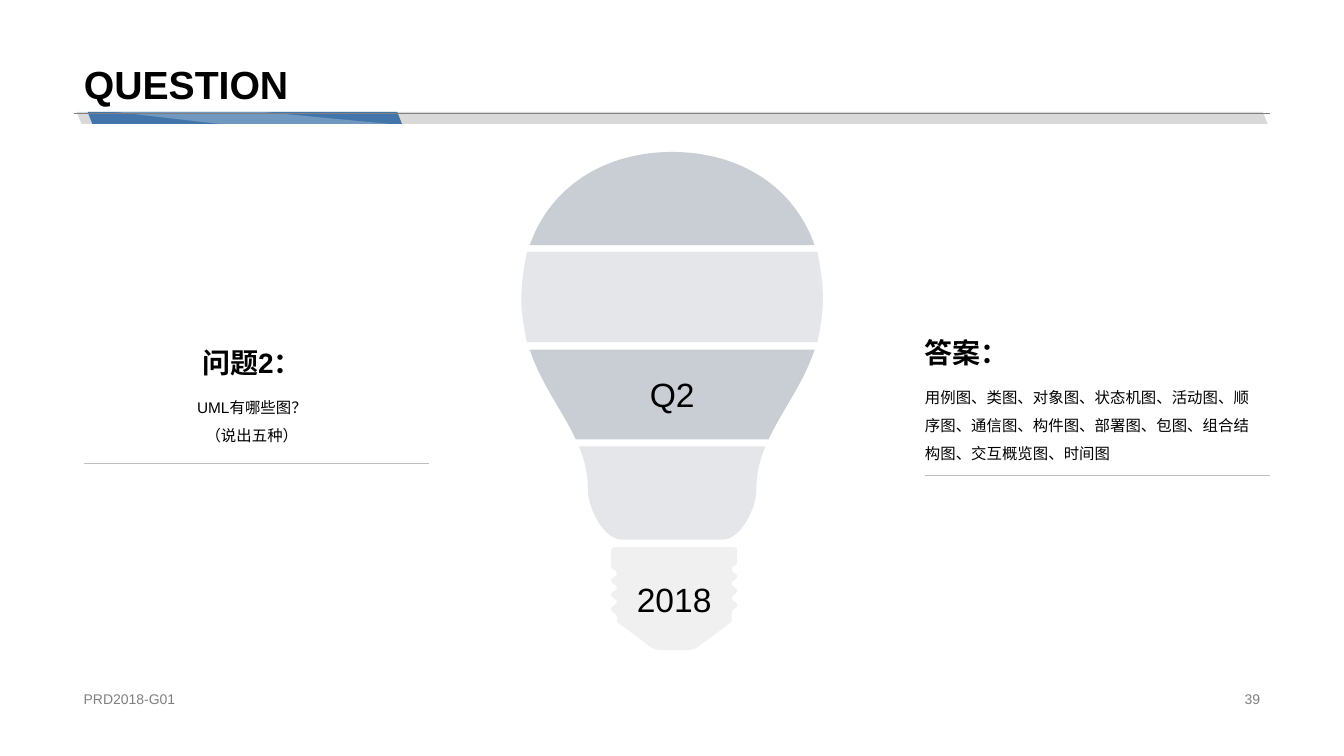
"""Build the question slide with a banded light bulb between question and answer."""
import dataclasses

import pptx
import pptx.dml.color
import pptx.enum.shapes
import pptx.enum.text
import pptx.oxml
import pptx.oxml.ns
import pptx.util

Cm = pptx.util.Cm
Align = pptx.enum.text.PP_ALIGN
Anchor = pptx.enum.text.MSO_ANCHOR
NAMESPACE = pptx.oxml.ns.nsdecls("a")

TITLE = "QUESTION"
COLUMNS = [
    {"heading": "问题2：", "body": ["UML有哪些图？", "（说出五种）"], "align": Align.CENTER,
     "left": 1.88, "body_top": 9.67, "body_height": 1.9, "rule_top": 11.66},
    {"heading": "答案：",
     "body": ["用例图、类图、对象图、状态机图、活动图、顺序图、通信图、构件图、部署图、包图、"
              "组合结构图、交互概览图、时间图"],
     "align": Align.LEFT, "left": 23.06, "body_top": 9.43, "body_height": 2.54, "rule_top": 11.97},
]
FOOTERS = [("PRD2018-G01", 1.86, 11.51, Align.LEFT), ("39", 23.93, 8.08, Align.RIGHT)]
BULB_AXIS = 16.94
BULB_BANDS = [
    ("", "dark", [(0, 3.83), (1.7, 3.83, 3.07, 4.7, 3.59, 6.18)]),
    ("", "light", [(3.66, 6.35), (3.73, 6.71, 3.8, 7.09, 3.8, 7.52),
                   (3.8, 7.92, 3.73, 8.28, 3.66, 8.62)]),
    ("Q2", "dark", [(3.59, 8.81), (3.3, 9.68, 2.77, 10.34, 2.43, 11.07)]),
    ("", "light", [(2.35, 11.25), (2.21, 11.58, 2.12, 11.94, 2.12, 12.37),
                   (2.12, 12.78, 1.74, 13.6, 1.26, 13.6)]),
]
BASE_LABEL = "2018"
BASE_TOP = [(18.58, 14.17), (18.58, 13.87), (18.58, 13.82, 18.55, 13.79, 18.5, 13.79),
            (15.49, 13.79), (15.44, 13.79, 15.4, 13.82, 15.4, 13.87), (15.4, 14.27)]
BASE_TIP = [(15.55, 15.67), (16.43, 16.33), (16.49, 16.36, 16.56, 16.38, 16.64, 16.38),
            (17.35, 16.38), (17.42, 16.38, 17.49, 16.36, 17.55, 16.33), (18.44, 15.67),
            (18.44, 15.43)]
TOOTH_COUNT, TOOTH_STEP = 7, 0.18
BANNER_BARS = [(1.93, 30.02, 0.424, "bar"), (2.21, 7.92, 0.388, "accent")]
BANNER_TOP, BANNER_HEIGHT = 2.82, 0.3
BANNER_SHEEN = [(9.78, 3.12), (6.6, 2.82), (2.9, 2.82), (5.49, 3.12)]
COLUMN_WIDTH, HEADING_HEIGHT = 8.94, 1.37


@dataclasses.dataclass(frozen=True)
class Theme:
    font: str = "Arial"
    text: str = "000000"
    muted: str = "808080"
    rule: str = "BFBFBF"
    bar: str = "D9D9D9"
    accent: str = "4276AA"
    sheen: str = "FFFFFF"
    dark: str = "C9CED5"
    light: str = "E4E6EA"
    base: str = "F0F0F0"
    title_size: int = 28
    label_size: int = 24
    heading_size: int = 20
    body_size: int = 11
    footer_size: int = 10


THEME = Theme()


def rgb(value):
    return pptx.dml.color.RGBColor.from_string(value)


def write(shape, lines, size, align, anchor, bold=False, color=THEME.text, spacing=None):
    frame = shape.text_frame
    frame.text = "\n".join(lines)
    frame.word_wrap = True
    frame.auto_size = pptx.enum.text.MSO_AUTO_SIZE.NONE
    frame.vertical_anchor = anchor
    for paragraph in frame.paragraphs:
        paragraph.alignment = align
        paragraph.line_spacing = spacing
        paragraph.font.name = THEME.font
        paragraph.font.size = pptx.util.Pt(size)
        paragraph.font.bold = bold
        paragraph.font.color.rgb = rgb(color)


def paint(shape, color):
    shape.shadow.inherit = False
    shape.fill.solid()
    shape.fill.fore_color.rgb = rgb(color)
    shape.line.fill.background()


def add_text(slide, box, *args, **options):
    write(slide.shapes.add_textbox(*map(Cm, box)), *args, **options)


def add_rule(slide, left, right, top, color):
    line = slide.shapes.add_connector(pptx.enum.shapes.MSO_CONNECTOR.STRAIGHT,
                                      Cm(left), Cm(top), Cm(right), Cm(top))
    line.line.color.rgb = rgb(color)
    line.line.width = pptx.util.Pt(0.25)
    line._element.spPr.append(pptx.oxml.parse_xml(f"<a:effectLst {NAMESPACE}/>"))


def pairs(segment):
    return list(zip(segment[::2], segment[1::2]))


def thread(first_x, second_x, top, step):
    curves = []
    for tooth in range(TOOTH_COUNT):
        start, end = (first_x, second_x) if tooth % 2 == 0 else (second_x, first_x)
        y = top + tooth * step
        curves.append((start, y + step / 2, end, y + step / 2, end, y + step))
    return curves


def mirror(half):
    points = [point for segment in half for point in pairs(segment)]
    left = [value for x, y in reversed(points) for value in (BULB_AXIS - x, y)]
    right = [tuple(value + BULB_AXIS * (index % 2 == 0) for index, value in enumerate(segment))
             for segment in half]
    return right + [left[:2]] + [left[start:start + 6] for start in range(2, len(left), 6)]


def add_outline(slide, segments, color):
    corners = [(Cm(segment[-2]), Cm(segment[-1])) for segment in segments]
    builder = slide.shapes.build_freeform(*corners[0])
    builder.add_line_segments(corners[1:], close=True)
    shape = builder.convert_to_shape()
    lines = list(shape._element.iter(pptx.oxml.ns.qn("a:lnTo")))
    for line, segment in zip(lines, segments[1:]):
        if len(segment) == 6:
            points = "".join(f'<a:pt x="{Cm(x) - shape.left}" y="{Cm(y) - shape.top}"/>'
                             for x, y in pairs(segment))
            line.getparent().replace(line, pptx.oxml.parse_xml(
                f"<a:cubicBezTo {NAMESPACE}>{points}</a:cubicBezTo>"))
    paint(shape, color)
    return shape


def add_banner(slide):
    for left, width, slant, color in BANNER_BARS:
        bar = slide.shapes.add_shape(pptx.enum.shapes.MSO_SHAPE.PARALLELOGRAM,
                                     *map(Cm, (left, BANNER_TOP, width, BANNER_HEIGHT)))
        bar.adjustments[0] = slant
        bar._element.spPr.xfrm.set("flipH", "1")
        paint(bar, getattr(THEME, color))
    sheen = add_outline(slide, BANNER_SHEEN, THEME.sheen)
    color = sheen._element.spPr.find(".//" + pptx.oxml.ns.qn("a:srgbClr"))
    color.append(pptx.oxml.parse_xml(f'<a:alpha {NAMESPACE} val="25000"/>'))
    add_rule(slide, 1.86, 32, 2.84, THEME.muted)


def add_bulb(slide):
    outline = (BASE_TOP + thread(15.4, 15.55, 14.27, TOOTH_STEP) + BASE_TIP
               + thread(18.44, 18.58, 15.43, -TOOTH_STEP))
    base = add_outline(slide, outline, THEME.base)
    write(base, [BASE_LABEL], THEME.label_size, Align.CENTER, Anchor.MIDDLE)
    for label, color, half in BULB_BANDS:
        band = add_outline(slide, mirror(half), getattr(THEME, color))
        if label:
            write(band, [label], THEME.label_size, Align.CENTER, Anchor.MIDDLE)


def add_column(slide, column):
    left, top = column["left"], column["body_top"]
    add_text(slide, (left, top, COLUMN_WIDTH, column["body_height"]), column["body"],
             THEME.body_size, column["align"], Anchor.TOP, spacing=1.5)
    add_text(slide, (left, top - HEADING_HEIGHT, COLUMN_WIDTH, HEADING_HEIGHT),
             [column["heading"]], THEME.heading_size, column["align"], Anchor.BOTTOM, bold=True)
    add_rule(slide, left + 0.24, left + COLUMN_WIDTH, column["rule_top"], THEME.rule)


def main():
    presentation = pptx.Presentation()
    presentation.slide_width, presentation.slide_height = Cm(33.87), Cm(19.05)
    slide = presentation.slides.add_slide(presentation.slide_layouts[5])
    title = slide.shapes.title
    title.left, title.top, title.width, title.height = map(Cm, (1.86, 0, 30.15, 2.84))
    write(title, [TITLE], THEME.title_size, Align.LEFT, Anchor.BOTTOM, bold=True, spacing=0.9)
    add_banner(slide)
    add_bulb(slide)
    for column in COLUMNS:
        add_column(slide, column)
    for text, left, width, align in FOOTERS:
        add_text(slide, (left, 17.32, width, 0.58), [text], THEME.footer_size, align,
                 Anchor.MIDDLE, color=THEME.muted)
    presentation.save("out.pptx")


if __name__ == "__main__":
    main()
